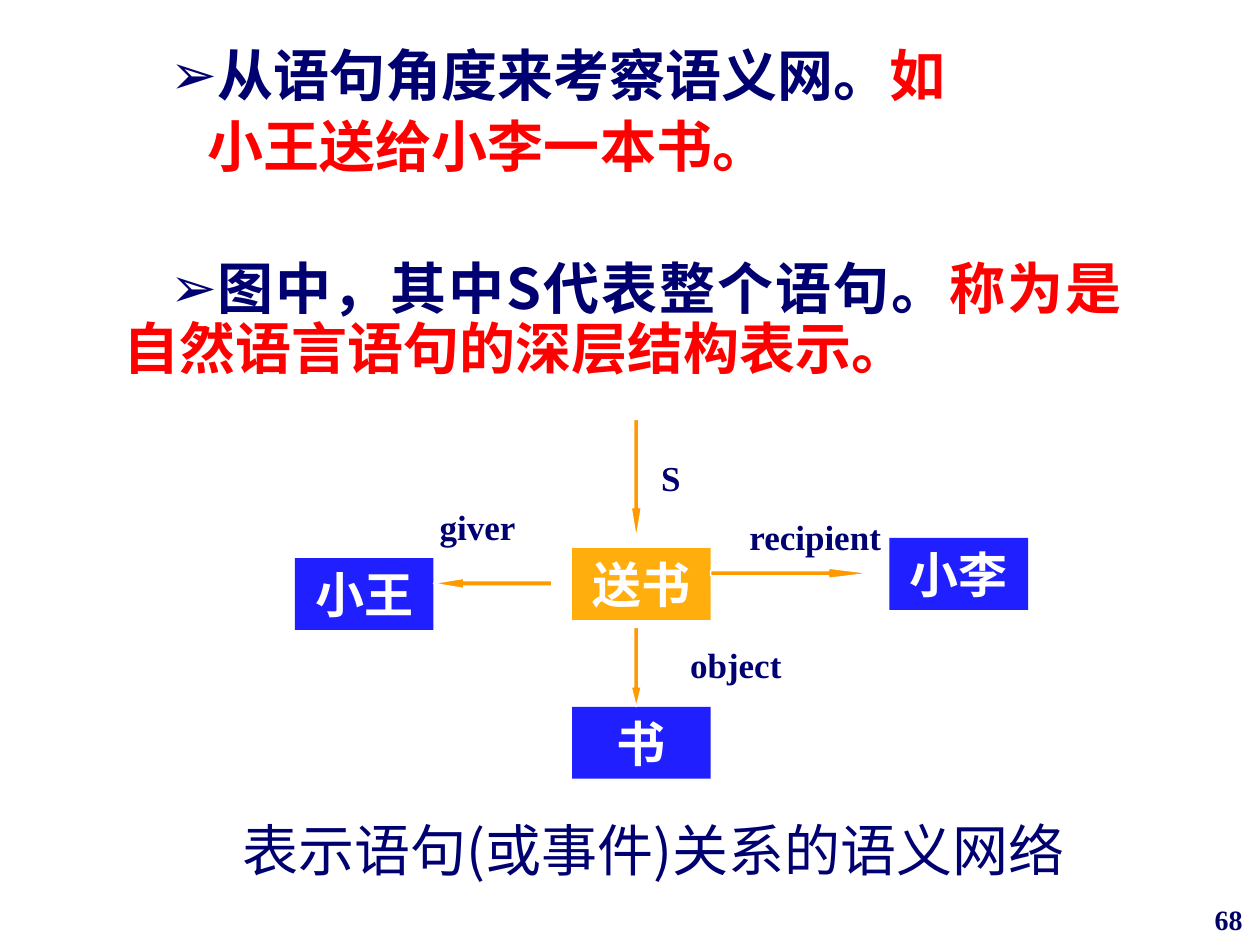
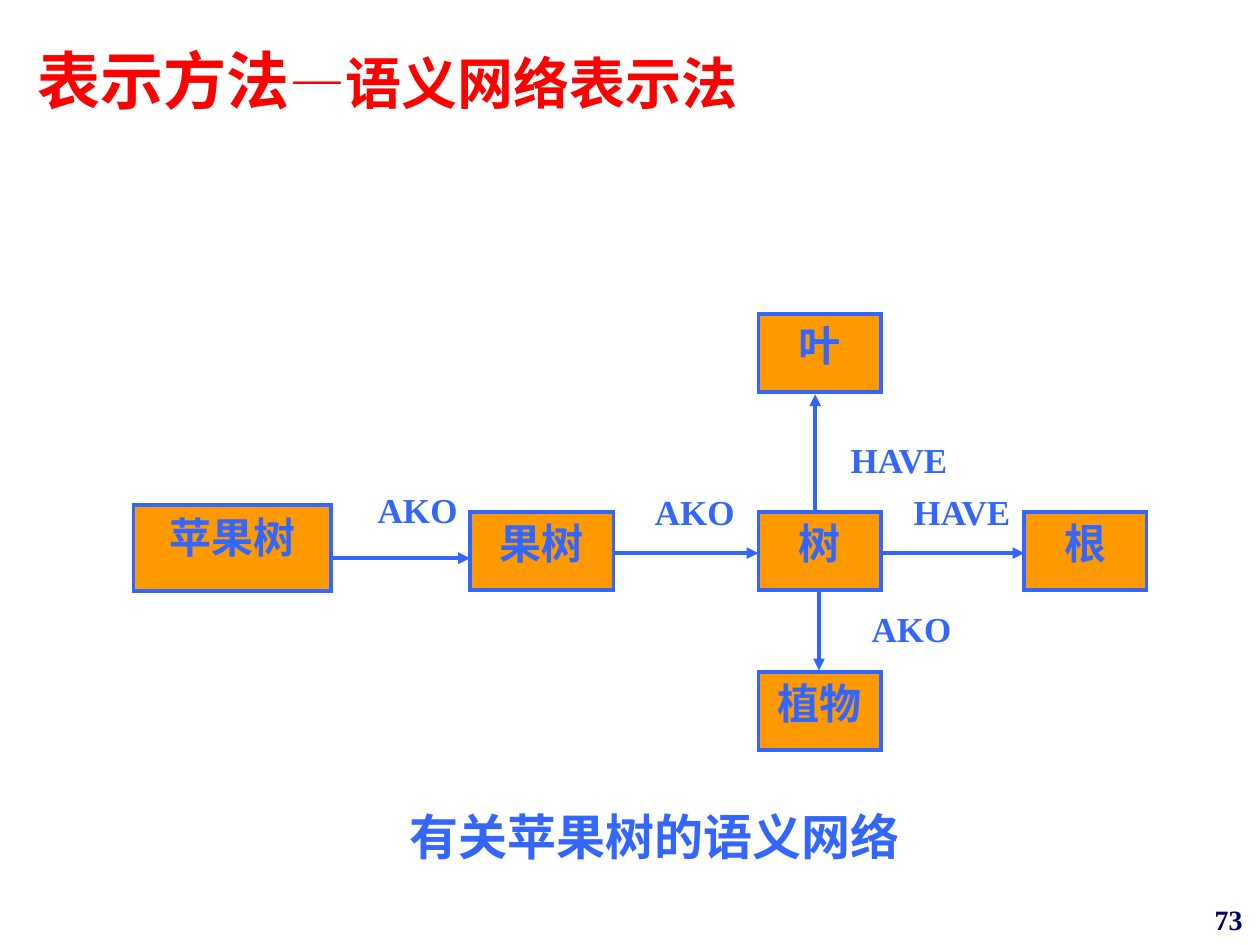
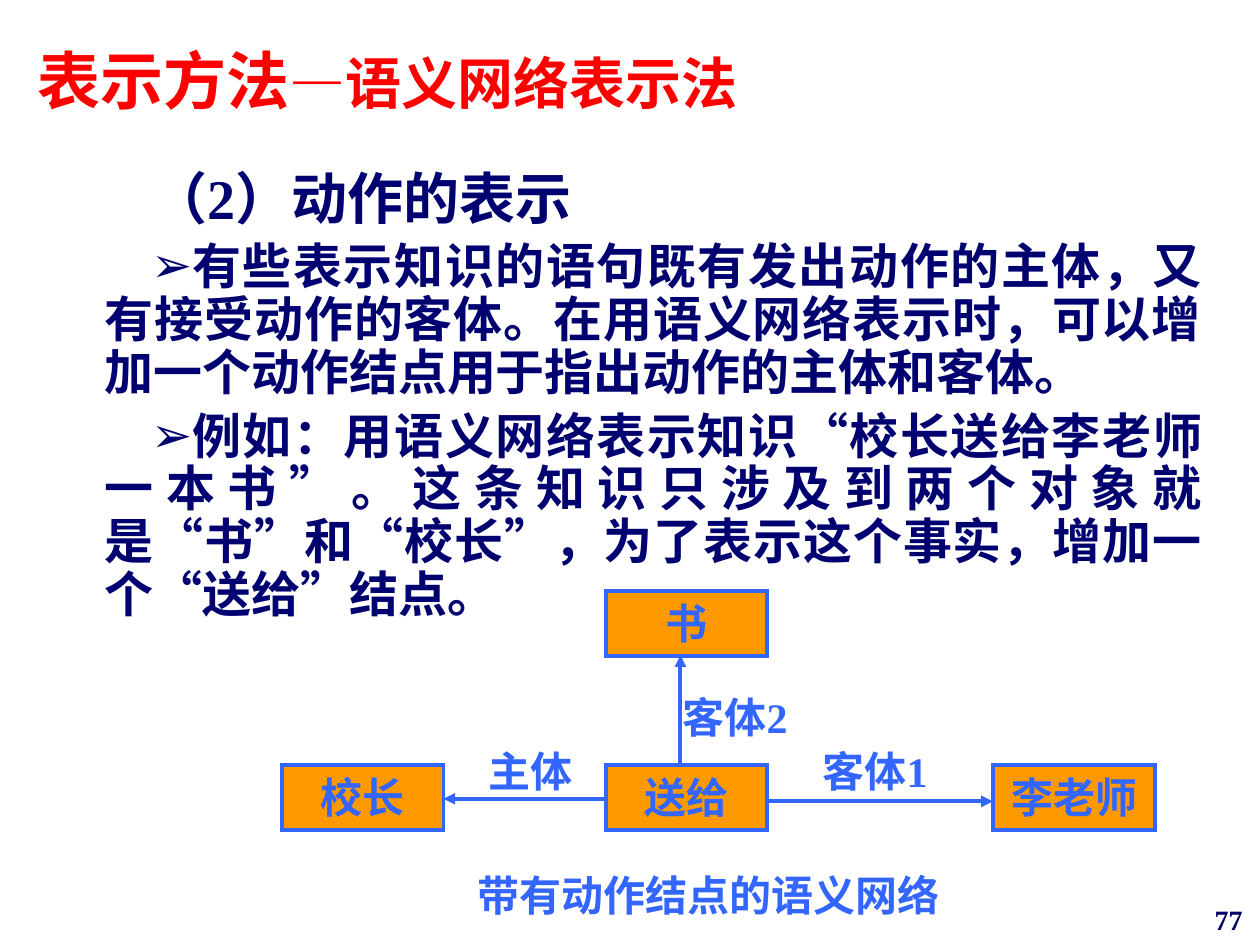
import itertools

import lxml.etree
import pptx
import pptx.dml.color
import pptx.enum.shapes
import pptx.enum.text
import pptx.oxml.ns
import pptx.util

COLORS = {"navy": "000070", "page": "000066", "red": "FF0000", "blue": "3366FF",
          "node": "1F1FFF", "amber": "FFAE0D", "orange": "FF9900", "white": "FFFFFF"}
CJK, SERIF, SANS = "Noto Sans CJK SC", "Times New Roman", "Arial"
SHAPE = pptx.enum.shapes.MSO_SHAPE
ALIGN = pptx.enum.text.PP_ALIGN
ANCHOR = pptx.enum.text.MSO_ANCHOR
qn = pptx.oxml.ns.qn

deck = pptx.Presentation()
deck.slide_width, deck.slide_height = pptx.util.Inches(10), pptx.util.Inches(7.5)


def grid(*cells):
    """Turn alternating columns (1/100 of the width) and rows (1/75 of the height) into lengths."""
    units = itertools.cycle((deck.slide_width / 100, deck.slide_height / 75))
    return [pptx.util.Emu(round(cell * unit)) for cell, unit in zip(cells, units)]


def write(shape, *paragraphs, size=24, color="blue", font=SERIF, bold=True,
          align=ALIGN.CENTER, anchor=ANCHOR.TOP, spacing=None):
    """Fill a shape with paragraphs: plain strings, or dicts of runs, bullet, before and indent."""
    frame = shape.text_frame
    frame.word_wrap = True
    frame.auto_size = pptx.enum.text.MSO_AUTO_SIZE.NONE
    frame.vertical_anchor = anchor
    for number, entry in enumerate(paragraphs):
        if isinstance(entry, str):
            entry = {"runs": [(entry, {})]}
        paragraph = frame.add_paragraph() if number else frame.paragraphs[0]
        props = paragraph._p.get_or_add_pPr()
        left, first = entry.get("indent", (0, 0))
        props.set("marL", str(pptx.util.Inches(left)))
        props.set("indent", str(pptx.util.Inches(first)))
        if entry.get("bullet"):
            tint = lxml.etree.SubElement(props, qn("a:buClr"))
            lxml.etree.SubElement(tint, qn("a:srgbClr"), val=COLORS["navy"])
            lxml.etree.SubElement(props, qn("a:buChar"), char="➢")
        else:
            lxml.etree.SubElement(props, qn("a:buNone"))
        paragraph.alignment = align
        paragraph.space_before = pptx.util.Pt(entry.get("before", 0))
        if spacing:
            paragraph.line_spacing = spacing
        for text, style in entry["runs"]:
            for is_mark, letters in itertools.groupby(text, lambda letter: letter in "“”—"):
                run = paragraph.add_run()
                run.text = "".join(letters)
                run.font.size = pptx.util.Pt(style.get("size", size))
                run.font.bold = bold
                run.font.name = SANS if is_mark else font
                run.font.color.rgb = pptx.dml.color.RGBColor.from_string(
                    COLORS[style.get("color", color)])
                lxml.etree.SubElement(run._r.get_or_add_rPr(), qn("a:ea"), typeface=CJK)


HANGING = (0.38, 0.37)
RED = {"color": "red"}
SENTENCE = [
    {"runs": [("从语句角度来考察语义网。", {}), ("如", RED)], "bullet": True, "indent": HANGING},
    {"runs": [("小王送给小李一本书。", RED)], "before": 6, "indent": (0.38, 0.67)},
    {"runs": [("图中，其中S代表整个语句。", {}), ("称为是自然语言语句的深层结构表示。", RED)],
     "bullet": True, "before": 46.5, "indent": HANGING},
]
ACTION = [{"runs": [("（2）动作的表示", {"size": 32})], "indent": HANGING}]
for statement in (
        "有些表示知识的语句既有发出动作的主体，又有接受动作的客体。在用语义网络表示时，"
        "可以增加一个动作结点用于指出动作的主体和客体。",
        "例如：用语义网络表示知识“校长送给李老师一本书”。这条知识只涉及到两个对象就是“书”"
        "和“校长”，为了表示这个事实，增加一个“送给”结点。"):
    ACTION.append({"runs": [(statement, {})], "bullet": True, "before": 6, "indent": HANGING})

TITLE_AND_BODY, TITLE_ONLY = deck.slide_layouts[1], deck.slide_layouts[5]
sentence_slide, apple_slide, action_slide = [
    deck.slides.add_slide(layout) for layout in (TITLE_AND_BODY, TITLE_ONLY, TITLE_AND_BODY)]

# Titles and body texts
empty_title = sentence_slide.shapes.title._element
empty_title.getparent().remove(empty_title)
for slide in (apple_slide, action_slide):
    title = slide.shapes.title
    title.left, title.top, title.width, title.height = grid(2, 2.8, 85, 9.8)
    write(title, {"runs": [("表示方法", {"size": 36}), ("—语义网络表示法", {})]},
          size=32, color="red", font=CJK, align=ALIGN.LEFT)

for slide, paragraphs, area, size, font in (
        (sentence_slide, SENTENCE, (5, 3.3, 85, 29.2), 32, CJK),
        (action_slide, ACTION, (3.5, 13.1, 92.9, 53.1), 28, SERIF)):
    body = slide.placeholders[1]
    body.left, body.top, body.width, body.height = grid(*area)
    write(body, *paragraphs, size=size, color="navy", font=font,
          align=ALIGN.JUSTIFY, spacing=0.9)

# Nodes: slide, fill, outline, text style, (text, left, top, width, height)
PLAIN = {"size": 28, "color": "white", "font": CJK}
for slide, fill, outline, style, nodes in (
        (sentence_slide, "node", None, PLAIN,
         [("小王", 23.4, 44.3, 11, 5.7), ("书", 45.4, 56.1, 11, 5.7), ("小李", 70.6, 42.7, 11, 5.7)]),
        (sentence_slide, "amber", None, PLAIN, [("送书", 45.4, 43.5, 11, 5.7)]),
        (apple_slide, "orange", "blue", {},
         [("苹果树", 10.6, 40.1, 15.7, 6.8), ("果树", 37.3, 40.6, 11.4, 6.2),
          ("根", 81.3, 40.6, 9.7, 6.2)]
         + [(text, 60.2, top, 9.7, 6.2) for text, top in (("叶", 24.9), ("树", 40.6), ("植物", 53.3))]),
        (action_slide, "orange", "blue", {},
         [(text, left, top, 12.8, 5.2) for text, left, top in (
             ("送给", 48.1, 60.7), ("书", 48.1, 46.9), ("校长", 22.4, 60.7))]
         + [("李老师", 78.8, 60.7, 12.9, 5.2)])):
    for text, *area in nodes:
        node = slide.shapes.add_shape(SHAPE.RECTANGLE, *grid(*area))
        node.shadow.inherit = False
        node.fill.solid()
        node.fill.fore_color.rgb = pptx.dml.color.RGBColor.from_string(COLORS[fill])
        if outline:
            node.line.color.rgb = pptx.dml.color.RGBColor.from_string(COLORS[outline])
            node.line.width = pptx.util.Pt(2.25)
            lxml.etree.SubElement(node.line._get_or_add_ln(), qn("a:miter"), lim="800000")
        else:
            node.line.fill.background()
        write(node, text, **style)

# Tapered arrows of the sentence network
for direction, head, area in (
        (SHAPE.LEFT_ARROW, 3.01, (34.4, 45.9, 9.4, 0.8)),
        (SHAPE.RIGHT_ARROW, 4.04, (56.4, 45.1, 12.6, 0.8)),
        (SHAPE.DOWN_ARROW, 3.01, (50.1, 33.3, 0.8, 9.4)),
        (SHAPE.DOWN_ARROW, 1.97, (50.1, 49.8, 0.8, 6.3))):
    arrow = sentence_slide.shapes.add_shape(direction, *grid(*area))
    arrow.adjustments[0], arrow.adjustments[1] = 0.5, head
    arrow.shadow.inherit = False
    arrow.fill.solid()
    arrow.fill.fore_color.rgb = pptx.dml.color.RGBColor.from_string(COLORS["orange"])
    arrow.line.color.rgb = pptx.dml.color.RGBColor.from_string(COLORS["white"])
    arrow.line.width = pptx.util.Pt(0.75)

# Relations drawn as line arrows: from column, row to column, row
for slide, relations in (
        (apple_slide, [(64.7, 40.6, 64.7, 31.3), (48.7, 43.9, 60.2, 43.9), (69.9, 43.9, 81.3, 43.9),
                       (26.3, 44.3, 37.3, 44.3), (65, 46.9, 65, 53.2)]),
        (action_slide, [(60.9, 63.6, 78.8, 63.6), (48.1, 63.4, 35.2, 63.4), (54, 60.7, 54, 52)])):
    for ends in relations:
        relation = slide.shapes.add_connector(
            pptx.enum.shapes.MSO_CONNECTOR.STRAIGHT, *grid(*ends))
        relation.line.color.rgb = pptx.dml.color.RGBColor.from_string(COLORS["blue"])
        relation.line.width = pptx.util.Pt(2.25)
        lxml.etree.SubElement(relation.line._get_or_add_ln(), qn("a:tailEnd"), type="triangle")
        lxml.etree.SubElement(relation._element.spPr, qn("a:effectLst"))

# Relation names, captions and page numbers
for slide, style, labels in (
        (sentence_slide, {"size": 20, "color": "navy"},
         [("giver", 32.8, 39.6, 10.2, 4.4), ("recipient", 58, 40.4, 13.4, 4.4),
          ("object", 53.3, 50.6, 10.2, 4.4), ("S", 50.1, 35.7, 6.3, 4.4)]),
        (sentence_slide, {"size": 32, "color": "navy", "font": CJK, "bold": False},
         [("表示语句(或事件)关系的语义网络", 13.2, 64.2, 77.4, 6.4)]),
        (apple_slide, {"size": 20},
         [(text, left, top, 13.3, 4.6) for text, left, top in (
             ("AKO", 26.5, 38.3), ("AKO", 48.5, 38.4), ("HAVE", 69.7, 38.4),
             ("HAVE", 64.7, 34.3), ("AKO", 65.7, 47.7))]),
        (apple_slide, {"size": 28}, [("有关苹果树的语义网络", 30.3, 63.5, 43.3, 5.5)]),
        (action_slide, {"align": ALIGN.LEFT},
         [("主体", 37.8, 58.7, 10.3, 5.2), ("客体2", 53.2, 54.4, 12.8, 5.2),
          ("客体1", 64.3, 58.7, 12.8, 5.2)]),
        (action_slide, {"font": CJK}, [("带有动作结点的语义网络", 26, 68.5, 60.5, 5.2)]),
        *((slide, {"size": 16, "color": "page", "align": ALIGN.RIGHT, "anchor": ANCHOR.MIDDLE},
           [(page, 78.8, 71, 20.8, 3.9)])
          for slide, page in zip(deck.slides, ("68", "73", "77")))):
    for text, *area in labels:
        write(slide.shapes.add_textbox(*grid(*area)), text, **style)

deck.save("out.pptx")
